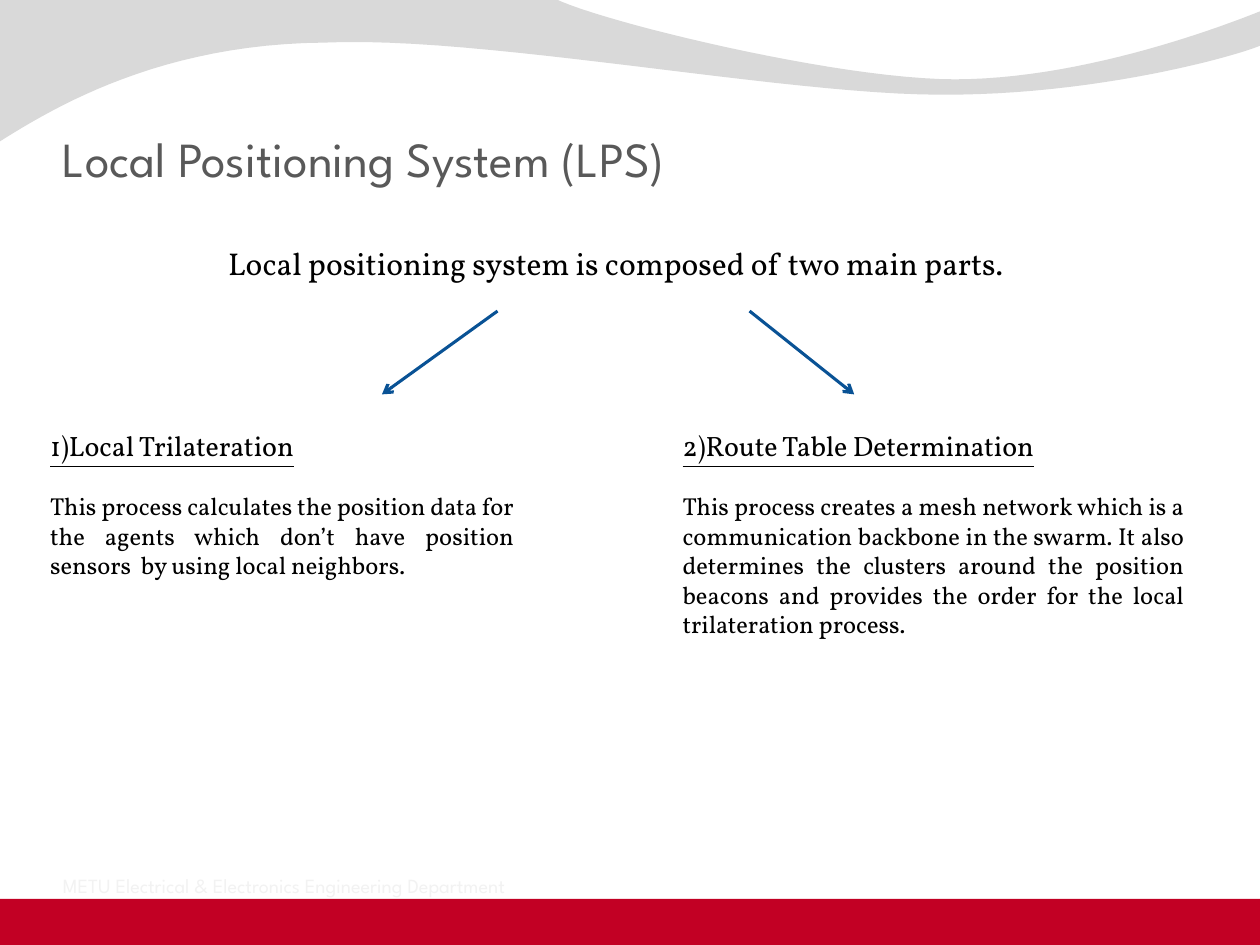
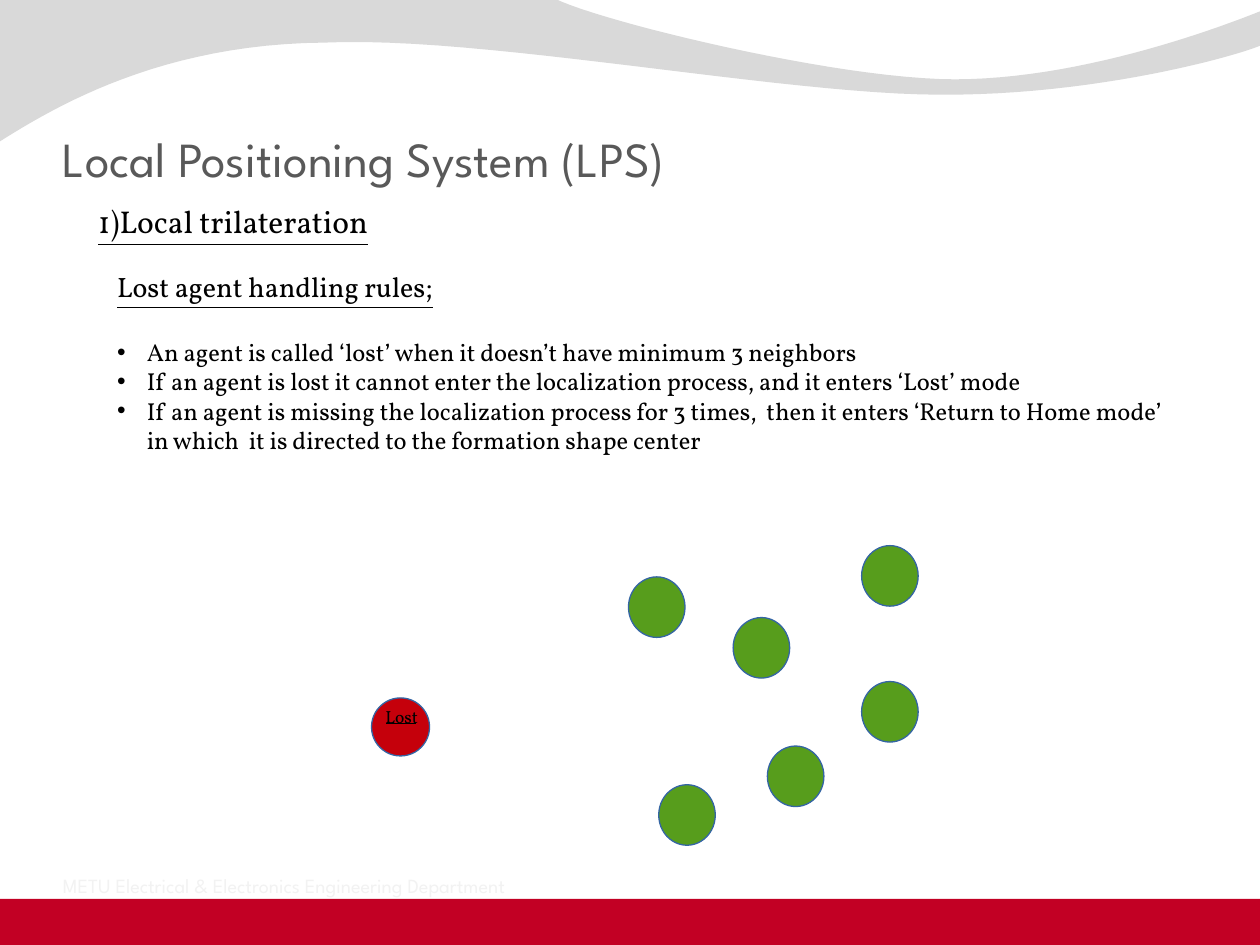
from dataclasses import dataclass

from lxml.etree import SubElement
from pptx import Presentation
from pptx.dml.color import RGBColor as RGB
from pptx.enum.shapes import MSO_CONNECTOR as CONN, MSO_SHAPE as SHAPE
from pptx.enum.text import MSO_ANCHOR as ANCHOR, PP_ALIGN as ALIGN
from pptx.oxml.ns import qn
from pptx.util import Cm, Pt


@dataclass(frozen=True)
class Theme:
    head_font: str = "League Spartan"
    body_font: str = "Vollkorn"
    title_pt: float = 28
    lead_pt: float = 18
    heading_pt: float = 16
    body_pt: float = 14
    footer_pt: float = 11.5
    label_pt: float = 10
    title: str = "595959"
    footer: str = "F2F2F2"
    text: str = "000000"
    band: str = "C20024"
    wave: str = "D9D9D9"
    arrow: str = "095295"
    agent: str = "579D1C"
    lost: str = "C5000B"
    outline: str = "3465A4"


T = Theme()
TITLE = "Local Positioning System (LPS)"
FOOTER = "METU Electrical & Electronics Engineering Department"

WAVE_TOP = [
    ((12.09, 0.43), (16.87, 1.6), (19.25, 1.6)),
    ((21.67, 1.6), (24.33, 0.66), (25.4, 0.23)),
]
WAVE_BOTTOM = [
    ((24.97, 1.12), (22.1, 1.93), (18.95, 1.91)),
    ((15.8, 1.91), (9.7, 0.71), (6.53, 0.86)),
    ((3.28, 0.89), (1.17, 2.11), (-0.03, 2.87)),
]

INTRO = "Local positioning system is composed of two main parts."
PARTS = [
    (0.76, 9.86, "1)Local Trilateration",
     "This process calculates the position data for the agents which don’t have "
     "position sensors  by using local neighbors."),
    (13.51, 10.62, "2)Route Table Determination",
     "This process creates a mesh network which is a communication backbone in the "
     "swarm. It also determines the clusters around the position beacons and provides "
     "the order for the local trilateration process."),
]
ARROWS = [(10.03, 7.7), (15.11, 17.22)]
ARROW_TOP, ARROW_BOTTOM = 6.27, 7.95

SECTION = "1)Local trilateration"
RULES_HEADING = "Lost agent handling rules;"
RULES = [
    "An agent is called ‘lost’ when it doesn’t have minimum 3 neighbors",
    "If an agent is lost it cannot enter the localization process, and it enters ‘Lost’ mode",
    "If an agent is missing the localization process for 3 times,  then it enters "
    "‘Return to Home mode’ in which  it is directed to the formation shape center",
]
AGENT_SIZE = (1.14, 1.22)
AGENTS = [(15.47, 15.04), (17.37, 13.74), (14.78, 12.45),
          (17.37, 11.0), (12.67, 11.63), (13.28, 15.82)]
LOST_AT, LOST_SIZE = (7.49, 14.07), 1.17


def add_text(s, box, anchor=ANCHOR.TOP, insets=(0.25, 0.13, 0.25, 0.13)):
    tf = s.shapes.add_textbox(*map(Cm, box)).text_frame
    tf.word_wrap = True
    tf.vertical_anchor = anchor
    tf.margin_left, tf.margin_top, tf.margin_right, tf.margin_bottom = map(Cm, insets)
    return tf


def add_par(tf, text, size, font=T.body_font, color=T.text, underline=False,
            align=ALIGN.LEFT, before=0):
    p = tf.paragraphs[0] if not tf.paragraphs[0].runs else tf.add_paragraph()
    p.alignment = align
    p.space_before = Pt(before)
    r = p.add_run()
    r.text = text
    r.font.size, r.font.name = Pt(size), font
    r.font.color.rgb = RGB.from_string(color)
    r.font.underline = underline
    return p


def add_bullet(p, indent=0.6):
    pPr = p._p.get_or_add_pPr()
    pPr.set("marL", str(Cm(indent)))
    pPr.set("indent", str(-Cm(indent)))
    SubElement(pPr, qn("a:buFont")).set("typeface", "Arial")
    SubElement(pPr, qn("a:buChar")).set("char", "•")


def paint(sp, fill, line=None):
    sp.shadow.inherit = False
    sp.fill.solid()
    sp.fill.fore_color.rgb = RGB.from_string(fill)
    if line:
        sp.line.color.rgb = RGB.from_string(line)
        sp.line.width = Pt(0.75)
    else:
        sp.line.fill.background()


def add_shape(s, kind, box, fill, line=None):
    paint(s.shapes.add_shape(kind, *map(Cm, box)), fill, line)


def add_line(s, ends, color, width, arrow=False):
    c = s.shapes.add_connector(CONN.STRAIGHT, *map(Cm, ends))
    c.line.color.rgb = RGB.from_string(color)
    c.line.width = Pt(width)
    spPr = c._element.spPr
    if arrow:
        SubElement(spPr.find(qn("a:ln")), qn("a:tailEnd")).set("type", "arrow")
    SubElement(spPr, qn("a:effectLst"))


def curve(start, segments, steps=24):
    points = [start]
    for b, c, d in segments:
        a = points[-1]
        for i in range(1, steps + 1):
            t = i / steps
            u = 1 - t
            points.append(tuple(
                u**3 * a[k] + 3 * u * u * t * b[k] + 3 * u * t * t * c[k] + t**3 * d[k]
                for k in (0, 1)))
    return points


def add_wave(s):
    outline = [(0, -0.03), *curve((11.18, -0.03), WAVE_TOP),
               *curve((25.43, 0.91), WAVE_BOTTOM)]
    points = [(Cm(x), Cm(y)) for x, y in outline]
    builder = s.shapes.build_freeform(*points[0])
    builder.add_line_segments(points[1:], close=True)
    paint(builder.convert_to_shape(), T.wave)


def add_base(prs):
    s = prs.slides.add_slide(prs.slide_layouts[6])
    add_shape(s, SHAPE.RECTANGLE, (0, 18.12, 25.4, 0.93), T.band)
    add_wave(s)
    tf = add_text(s, (1.27, 0.94, 22.86, 2.84), ANCHOR.BOTTOM, (0, 0.13, 0, 0))
    add_par(tf, TITLE, T.title_pt, T.head_font, T.title)
    tf = add_text(s, (1.27, 17.35, 11.13, 0.74), ANCHOR.BOTTOM, (0, 0, 0, 0))
    add_par(tf, FOOTER, T.footer_pt, T.head_font, T.footer)
    return s


def add_parts_slide(prs):
    s = add_base(prs)
    add_par(add_text(s, (4.35, 4.78, 16.51, 1.02)), INTRO, T.lead_pt)
    for left, width, heading, body in PARTS:
        tf = add_text(s, (left, 8.51, width, 4.5))
        add_par(tf, heading, T.heading_pt, underline=True, align=ALIGN.JUSTIFY)
        add_par(tf, body, T.body_pt, align=ALIGN.JUSTIFY, before=16.7)
    for x1, x2 in ARROWS:
        add_line(s, (x1, ARROW_TOP, x2, ARROW_BOTTOM), T.arrow, 1.75, arrow=True)


def add_rules_slide(prs):
    s = add_base(prs)
    add_par(add_text(s, (1.73, 3.94, 22.66, 1.02)), SECTION, T.lead_pt, underline=True)
    tf = add_text(s, (2.11, 5.31, 22.02, 4.01))
    add_par(tf, RULES_HEADING, T.heading_pt, underline=True)
    for i, rule in enumerate(RULES):
        add_bullet(add_par(tf, rule, T.body_pt, before=0 if i else 19.1))
    for spot in AGENTS:
        add_shape(s, SHAPE.OVAL, (*spot, *AGENT_SIZE), T.agent, T.outline)
    x, y = LOST_AT
    add_shape(s, SHAPE.OVAL, (x, y, LOST_SIZE, LOST_SIZE), T.lost, T.outline)
    add_line(s, (x + 0.3, y + 0.51, x + 0.89, y + 0.51), T.text, 0.75)
    add_par(add_text(s, (x + 0.03, y + 0.03, 1.42, 1.07)), "Lost", T.label_pt)


def main():
    prs = Presentation()
    prs.slide_width, prs.slide_height = Cm(25.4), Cm(19.05)
    add_parts_slide(prs)
    add_rules_slide(prs)
    prs.save("out.pptx")


if __name__ == "__main__":
    main()
